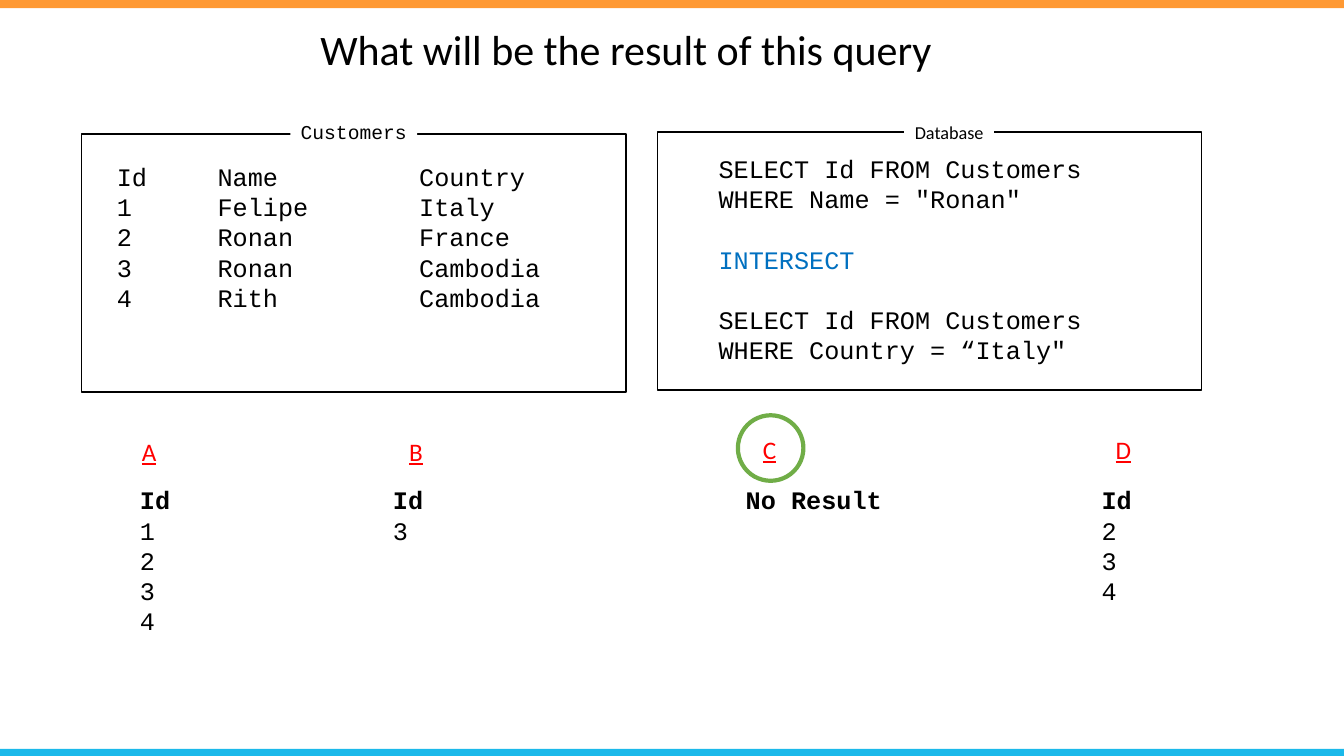
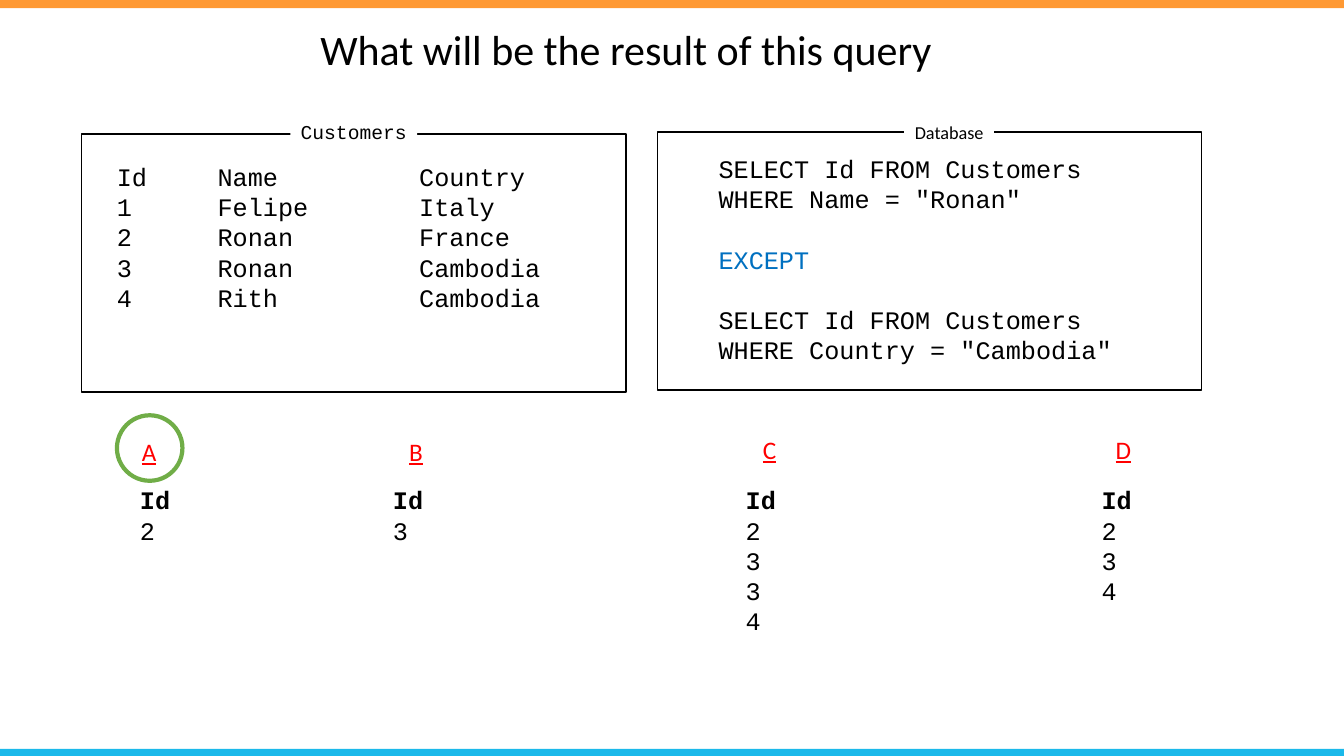
from dataclasses import dataclass

from lxml import etree
from pptx import Presentation
from pptx.dml.color import RGBColor
from pptx.enum.shapes import MSO_SHAPE
from pptx.enum.text import PP_ALIGN
from pptx.oxml.ns import qn
from pptx.util import Inches, Pt

RECTANGLE = MSO_SHAPE.RECTANGLE
OVAL = MSO_SHAPE.OVAL
LEFT = PP_ALIGN.LEFT
CENTER = PP_ALIGN.CENTER

ORANGE = RGBColor(0xFF, 0x99, 0x33)
SKY = RGBColor(0x1B, 0xB9, 0xEA)
BLACK = RGBColor(0, 0, 0)
WHITE = RGBColor(0xFF, 0xFF, 0xFF)
RED = RGBColor(0xFF, 0, 0)
BLUE = RGBColor(0, 0x70, 0xC0)
GREEN = RGBColor(0x70, 0xAD, 0x47)

SANS = "Calibri"
MONO = "Courier New"
CELL = Inches(0.1)
COLUMNS = 133.33
ROWS = 75
ANSWER_ROW = 47.6
TABLE_STOPS = (10, 30)
TITLE = "What will be the result of this query"
CUSTOMERS = (
    "Id\tName\tCountry",
    "1\tFelipe\tItaly",
    "2\tRonan\tFrance",
    "3\tRonan\tCambodia",
    "4\tRith\tCambodia",
)


@dataclass(frozen=True)
class Place:
    column: float
    row: float
    columns: float
    rows: float

    def lengths(self) -> tuple[int, ...]:
        return tuple(round(n * CELL) for n in (self.column, self.row, self.columns, self.rows))


@dataclass(frozen=True)
class Option:
    letter: str
    letter_column: float
    letter_row: float
    answer_column: float
    ring_column: float


@dataclass(frozen=True)
class Panel:
    frame: Place
    tag: str
    tag_place: Place
    font: str
    size: float


@dataclass(frozen=True)
class Question:
    operator: str
    condition: str
    answers: tuple[str, ...]
    correct: str


OPTIONS = (
    Option("A", 13.1, 42.8, 12.9, 11.6),
    Option("B", 39.6, 42.8, 38, 38.1),
    Option("C", 74.7, 42.6, 73, 73.2),
    Option("D", 109.7, 42.6, 108.3, 108.2),
)
PANELS = (
    Panel(Place(8.1, 13.3, 54, 25.6), "Customers", Place(28.8, 11.4, 12.6, 3.4), MONO, 14),
    Panel(Place(65.2, 13.1, 54, 25.6), "Database", Place(89.7, 11.5, 8.9, 3.2), SANS, 13),
)
QUESTIONS = (
    Question("INTERSECT", 'WHERE Country = “Italy"',
             ("Id 1 2 3 4", "Id 3", "No Result", "Id 2 3 4"), "C"),
    Question("EXCEPT", 'WHERE Country = "Cambodia"',
             ("Id 2", "Id 3", "Id 2 3 3 4", "Id 2 3 4"), "A"),
)


def add_outline(page, kind, place: Place, *, fill=None, line=None, weight=1):
    box = page.shapes.add_shape(kind, *place.lengths())
    box.shadow.inherit = False
    if fill is None:
        box.fill.background()
    else:
        box.fill.solid()
        box.fill.fore_color.rgb = fill
    if line is None:
        box.line.fill.background()
    else:
        box.line.color.rgb = line
        box.line.width = Pt(weight)
    return box


def write(box, lines, *, font=MONO, size=18, color=BLACK, bold=False,
          underline=False, align=LEFT, wrap=True) -> list:
    frame = box.text_frame
    frame.word_wrap = wrap
    paras = []
    for number, line in enumerate(lines):
        para = frame.add_paragraph() if number else frame.paragraphs[0]
        para.alignment = align
        span = para.add_run()
        span.text = line
        span.font.name = font
        span.font.size = Pt(size)
        span.font.color.rgb = color
        span.font.bold = bold
        span.font.underline = underline
        paras.append(para)
    return paras


def add_text(page, place: Place, lines, **style) -> list:
    return write(page.shapes.add_textbox(*place.lengths()), lines, **style)


def set_tab_stops(para, stops) -> None:
    properties = para._p.get_or_add_pPr()
    tabs = etree.SubElement(properties, qn("a:tabLst"))
    for stop in stops:
        etree.SubElement(tabs, qn("a:tab"), pos=str(round(stop * CELL)), algn="l")


def add_common_parts(page) -> None:
    add_outline(page, RECTANGLE, Place(0, 0, COLUMNS, 0.8), fill=ORANGE)
    add_outline(page, RECTANGLE, Place(0, ROWS - 0.7, COLUMNS, 0.7), fill=SKY)
    add_text(page, Place(30.8, 1.8, 64.7, 6.1), [TITLE], font=SANS, size=30)
    for panel in PANELS:
        add_outline(page, RECTANGLE, panel.frame, line=BLACK)
        tag = add_outline(page, RECTANGLE, panel.tag_place, fill=WHITE)
        write(tag, [panel.tag], font=panel.font, size=panel.size, align=CENTER, wrap=False)
    for para in add_text(page, Place(10.6, 15.5, 52.5, 16.2), CUSTOMERS):
        set_tab_stops(para, TABLE_STOPS)


def add_query(page, question: Question) -> None:
    select = "SELECT Id FROM Customers"
    lines = (select, 'WHERE Name = "Ronan"', question.operator, select, question.condition)
    operator = add_text(page, Place(70.3, 14.7, 45, 22.2), lines)[2]
    operator.space_before = operator.space_after = Pt(21.6)
    operator.runs[0].font.color.rgb = BLUE


def add_option(page, option: Option, answer: str, correct: bool) -> None:
    add_text(page, Place(option.letter_column, option.letter_row, 5, 4), [option.letter],
             font=SANS, color=RED, underline=True)
    lines = answer.split() if answer.startswith("Id") else [answer]
    place = Place(option.answer_column, ANSWER_ROW, 16.7, 1 + 3 * len(lines))
    heading = add_text(page, place, lines)[0]
    heading.runs[0].font.bold = True
    if correct:
        add_outline(page, OVAL, Place(option.ring_column, 41.2, 6.5, 6.5), line=GREEN, weight=3)


def add_question(deck, question: Question) -> None:
    page = deck.slides.add_slide(deck.slide_layouts[6])
    add_common_parts(page)
    add_query(page, question)
    for option, answer in zip(OPTIONS, question.answers):
        add_option(page, option, answer, option.letter == question.correct)


def main() -> None:
    deck = Presentation()
    deck.slide_width = round(COLUMNS * CELL)
    deck.slide_height = ROWS * CELL
    for question in QUESTIONS:
        add_question(deck, question)
    deck.save("out.pptx")


main()
